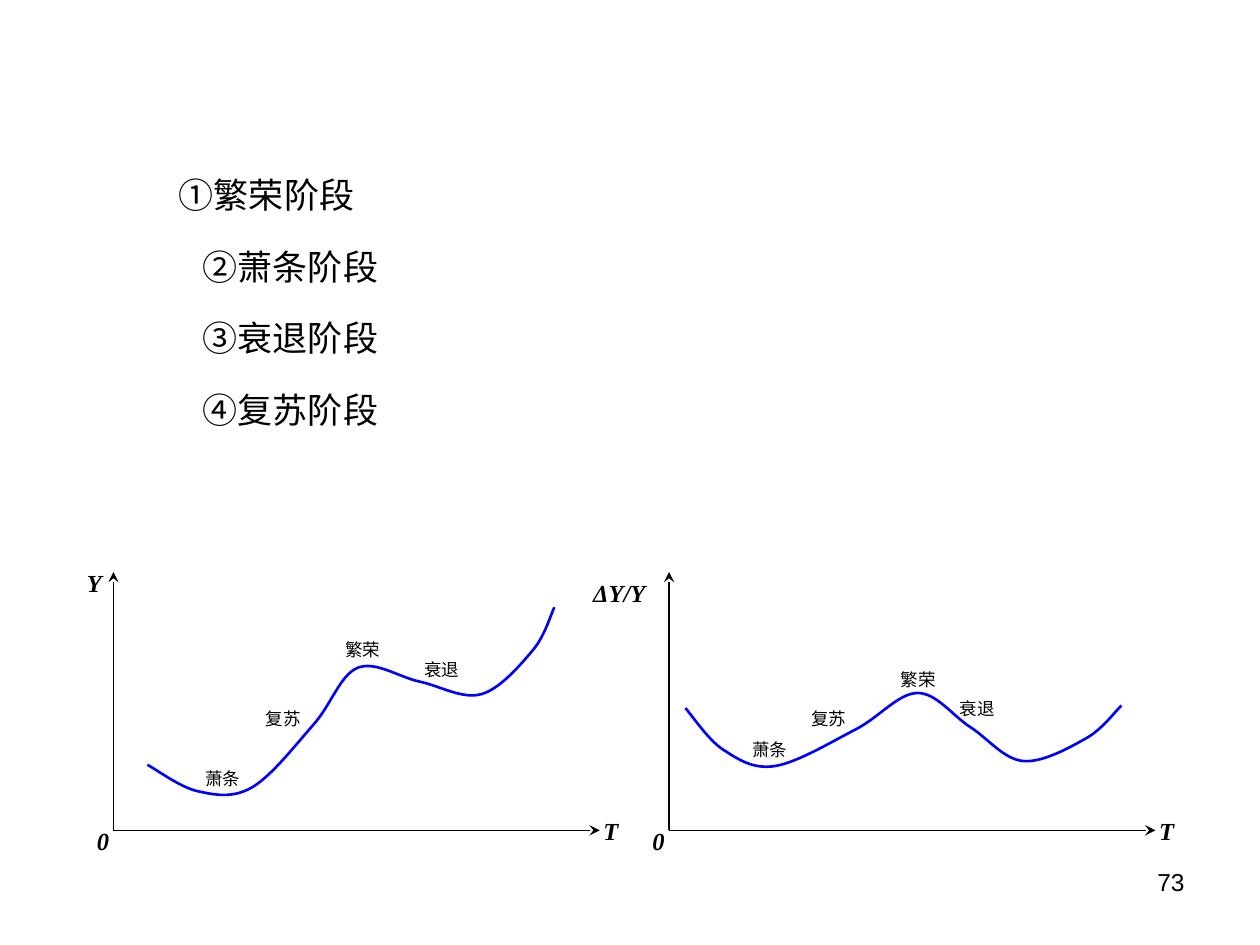
from dataclasses import dataclass

from lxml import etree
from pptx import Presentation
from pptx.dml.color import RGBColor
from pptx.enum.shapes import MSO_CONNECTOR
from pptx.enum.text import MSO_ANCHOR, MSO_AUTO_SIZE, PP_ALIGN
from pptx.oxml.ns import qn
from pptx.util import Pt

STRAIGHT = MSO_CONNECTOR.STRAIGHT
LEFT, RIGHT = PP_ALIGN.LEFT, PP_ALIGN.RIGHT
TOP = MSO_ANCHOR.TOP
NO_AUTOFIT = MSO_AUTO_SIZE.NONE
PX = 9144  # 100 px to the inch


@dataclass(frozen=True)
class Theme:
    ink: RGBColor = RGBColor(0, 0, 0)
    curve: RGBColor = RGBColor(0, 0, 255)
    sans: str = "Arial"
    serif: str = "Times New Roman"
    chinese: str = "Noto Sans CJK SC"
    list_size: int = 20
    axis_size: int = 14
    label_size: int = 10
    curve_width: float = 1.5
    axis_width: float = 0.75


def write(paragraph, text, *, font, chinese, size, color, bold=False,
          italic=False, align=LEFT, line_spacing=None):
    paragraph.alignment = align
    if line_spacing:
        paragraph.line_spacing = Pt(line_spacing)
    run = paragraph.add_run()
    run.text = text
    run.font.name = font
    run.font.size = Pt(size)
    run.font.bold = bold
    run.font.italic = italic
    run.font.color.rgb = color
    properties = run.font._element
    etree.SubElement(properties, qn("a:ea")).set("typeface", chinese)


def smooth_path(shape, points):
    """Turn the straight segments through points into Catmull-Rom curves."""
    left = min(x for x, _ in points)
    top = min(y for _, y in points)
    local = [(x - left, y - top) for x, y in points]
    padded = [local[0], *local, local[-1]]
    segments = list(shape._element.iter(qn("a:lnTo")))
    for segment, before, start, end, after in zip(
            segments, padded, padded[1:], padded[2:], padded[3:]):
        leaving = [s + (e - b) / 6 for b, s, e in zip(before, start, end)]
        arriving = [e - (a - s) / 6 for s, e, a in zip(start, end, after)]
        curve = etree.Element(qn("a:cubicBezTo"))
        for x, y in (leaving, arriving, end):
            point = etree.SubElement(curve, qn("a:pt"))
            point.set("x", str(round(x)))
            point.set("y", str(round(y)))
        segment.getparent().replace(segment, curve)


class SlideBuilder:
    def __init__(self, presentation, theme):
        self.theme = theme
        self.slide = presentation.slides.add_slide(presentation.slide_layouts[1])
        title = self.slide.shapes.title
        title._element.getparent().remove(title._element)

    def stage_list(self, items, left, top, width, height):
        theme = self.theme
        body = self.slide.placeholders[1]
        body.left, body.top = left * PX, top * PX
        body.width, body.height = width * PX, height * PX
        frame = body.text_frame
        frame.auto_size = NO_AUTOFIT
        frame.vertical_anchor = TOP
        frame.margin_top = 61 * PX
        for index, item in enumerate(items):
            first = index == 0
            paragraph = frame.paragraphs[0] if first else frame.add_paragraph()
            paragraph.level = 0 if first else 1
            properties = paragraph._p.get_or_add_pPr()
            properties.set("marL", str((81 if first else 100) * PX))
            properties.set("indent", "0")
            etree.SubElement(properties, qn("a:buNone"))
            paragraph.space_before = Pt(0 if first else 5)
            write(paragraph, item, font=theme.sans, chinese=theme.chinese,
                  size=theme.list_size, color=theme.ink, line_spacing=36)

    def text(self, text, left, top, width, height, **text_format):
        box = self.slide.shapes.add_textbox(
            left * PX, top * PX, width * PX, height * PX)
        frame = box.text_frame
        frame.word_wrap = True
        write(frame.paragraphs[0], text, chinese=self.theme.chinese,
              color=self.theme.ink, **text_format)

    def axis_text(self, text, left, top, width):
        self.text(text, left, top, width, 34, font=self.theme.serif,
                  size=self.theme.axis_size, bold=True, italic=True)

    def phase_label(self, text, left, top, width=50):
        self.text(text, left, top, width, 27, font=self.theme.serif,
                  size=self.theme.label_size, line_spacing=13)

    def arrow(self, start, end):
        connector = self.slide.shapes.add_connector(
            STRAIGHT, *(value * PX for value in (*start, *end)))
        connector.line.color.rgb = self.theme.ink
        connector.line.width = Pt(self.theme.axis_width)
        line = connector.line._get_or_add_ln()
        etree.SubElement(line, qn("a:tailEnd")).set("type", "stealth")
        etree.SubElement(connector._element.spPr, qn("a:effectLst"))

    def curve(self, points):
        points = [(x * PX, y * PX) for x, y in points]
        builder = self.slide.shapes.build_freeform(*points[0])
        builder.add_line_segments(points[1:], close=False)
        shape = builder.convert_to_shape()
        shape.shadow.inherit = False
        shape.fill.background()
        shape.line.color.rgb = self.theme.curve
        shape.line.width = Pt(self.theme.curve_width)
        smooth_path(shape, points)

    def cycle_diagram(self, origin_x, points, labels, vertical_title):
        origin_y = 659
        self.curve(points)
        self.arrow((origin_x, origin_y), (origin_x, origin_y - 205))
        self.arrow((origin_x, origin_y), (origin_x + 386, origin_y))
        for label in labels:
            self.phase_label(*label)
        self.axis_text(*vertical_title)
        self.axis_text("T", origin_x + 379, origin_y - 16, 42)
        self.axis_text("0", origin_x - 23, origin_y - 8, 36)


def main():
    presentation = Presentation()
    presentation.slide_width = 1000 * PX
    presentation.slide_height = 750 * PX
    theme = Theme()
    builder = SlideBuilder(presentation, theme)

    builder.stage_list(["①繁荣阶段", "②萧条阶段", "③衰退阶段", "④复苏阶段"],
                       51, 60, 900, 323)
    builder.cycle_diagram(
        90,
        [(117, 607), (157, 628), (200, 625), (249, 575), (284, 530),
         (333, 541), (382, 551), (423, 516), (440, 482)],
        [("萧条", 153, 603, 55), ("复苏", 201, 556),
         ("衰退", 327, 517), ("繁荣", 264, 501)],
        ("Y", 59, 446, 39))
    builder.cycle_diagram(
        531,
        [(544, 562), (574, 595), (615, 608), (679, 579), (728, 550),
         (770, 577), (812, 604), (862, 586), (890, 560)],
        [("萧条", 587, 580, 55), ("复苏", 634, 556),
         ("繁荣", 705, 525), ("衰退", 752, 548)],
        ("ΔY/Y", 461, 454, 71))
    builder.text("73", 717, 683, 233, 52, font=theme.sans,
                 size=theme.axis_size, align=RIGHT)
    presentation.save("out.pptx")


if __name__ == "__main__":
    main()
